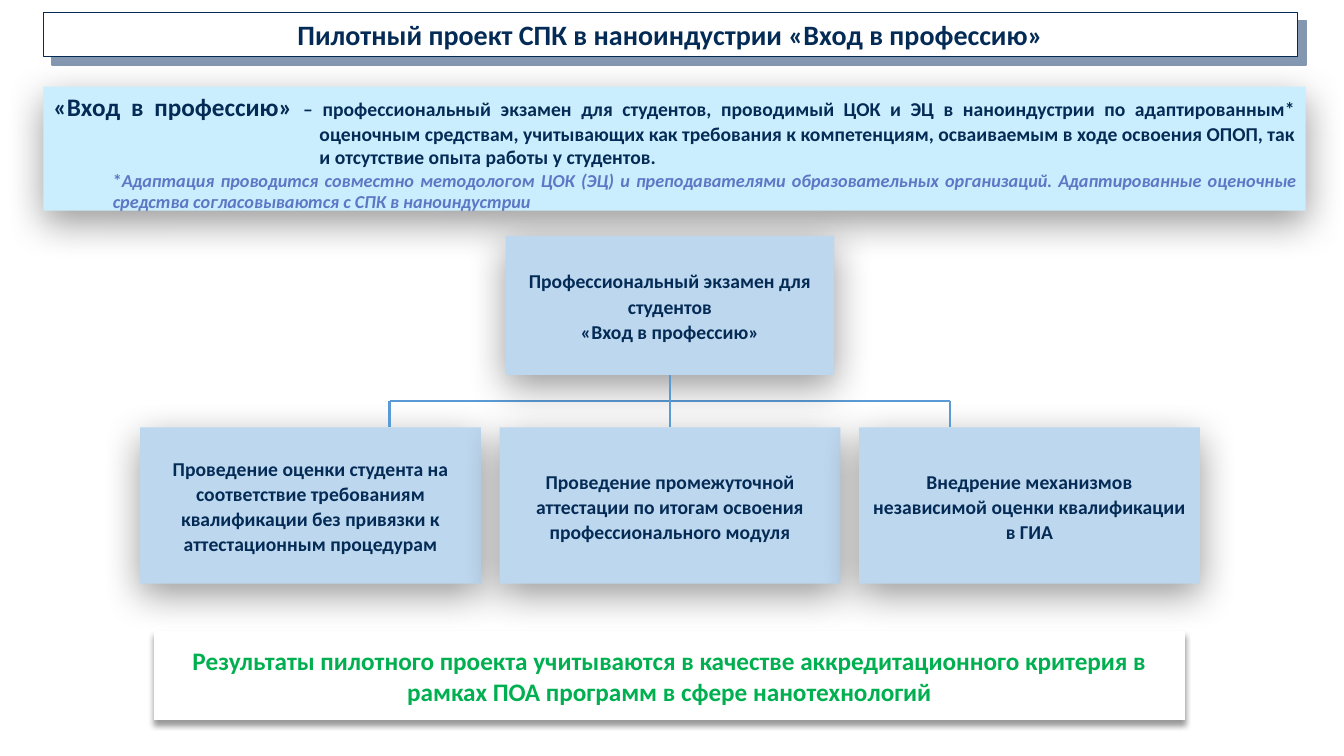
from collections import namedtuple

from lxml.etree import SubElement
from pptx import Presentation
from pptx.dml.color import RGBColor
from pptx.enum.shapes import MSO_CONNECTOR as Connector, MSO_SHAPE as Shape
from pptx.enum.text import MSO_ANCHOR as Anchor, PP_ALIGN as Align
from pptx.oxml.ns import qn
from pptx.util import Inches, Pt

CELL = Inches(0.1)  # side of one square of the layout grid
FONT = "Calibri"
COLORS = {
    "navy": "042B55", "slate": "8497B0", "white": "FFFFFF", "sky": "CBEEFE",
    "node": "BDD7EE", "link": "5B9BD5", "note": "5D77C5", "green": "00B050",
    "shadow": "000000",
}
Box = namedtuple("Box", "left top width height")
Glow = namedtuple("Glow", "blur distance")
DEEP, SHALLOW = Glow(28, 8), Glow(4, 3)


def rgb(name):
    return RGBColor.from_string(COLORS[name])


def cells(count):
    return round(count * CELL)


def add_shadow(shape, glow):
    """Cast a soft black shadow straight down."""
    effects = shape._element.spPr.find(qn("a:effectLst"))
    outer = SubElement(effects, qn("a:outerShdw"), blurRad=str(Pt(glow.blur)),
                       dist=str(Pt(glow.distance)), dir="5400000",
                       algn="ctr", rotWithShape="0")
    color = SubElement(outer, qn("a:srgbClr"), val=COLORS["shadow"])
    SubElement(color, qn("a:alpha"), val="40000")


def add_panel(slide, box, fill, line=None, line_width=1, glow=None, anchor=Anchor.MIDDLE):
    panel = slide.shapes.add_shape(Shape.RECTANGLE, *map(cells, box))
    panel.shadow.inherit = False
    panel.fill.solid()
    panel.fill.fore_color.rgb = rgb(fill)
    if line:
        panel.line.color.rgb = rgb(line)
        panel.line.width = Pt(line_width)
    else:
        panel.line.fill.background()
    if glow:
        add_shadow(panel, glow)
    panel.text_frame.word_wrap = True
    panel.text_frame.vertical_anchor = anchor
    return panel


def add_paragraph(panel, runs, align=Align.CENTER, margin=0, indent=0, spacing=None):
    """Write runs of (text, size, color, italic) as the panel's next paragraph."""
    frame = panel.text_frame
    paragraph = frame.paragraphs[0] if not frame.text else frame.add_paragraph()
    paragraph.alignment = align
    if spacing:
        paragraph.line_spacing = spacing
    if margin:
        properties = paragraph._p.get_or_add_pPr()
        properties.set("marL", str(cells(margin)))
        properties.set("indent", str(cells(indent)))
    for text, size, color, italic in runs:
        run = paragraph.add_run()
        run.text = text
        run.font.name = FONT
        run.font.size = Pt(size)
        run.font.bold = True
        run.font.italic = italic
        run.font.color.rgb = rgb(color)


def add_link(slide, start, end):
    link = slide.shapes.add_connector(Connector.STRAIGHT, *map(cells, start + end))
    link.line.color.rgb = rgb("link")
    link.line.width = Pt(1.75)
    SubElement(link._element.spPr, qn("a:effectLst"))
    return link


def add_title(slide, box, text):
    offset = 0.85
    backing = box._replace(left=box.left + offset, top=box.top + offset)
    add_panel(slide, backing, "slate", line="slate")
    front = add_panel(slide, box, "white", line="navy", line_width=0.75, anchor=Anchor.TOP)
    add_paragraph(front, [(text, 20, "navy", False)])


def add_definition(slide, box, term, meaning, note):
    panel = add_panel(slide, box, "sky", glow=DEEP, anchor=Anchor.TOP)
    add_paragraph(panel, [(term, 18, "navy", False), (meaning, 14, "navy", False)],
                  Align.JUSTIFY, margin=26.4, indent=-26.4)
    add_paragraph(panel, [("*", 13, "note", False), (note, 13, "note", True)],
                  Align.JUSTIFY, margin=5.9)


def add_node(slide, box, lines):
    node = add_panel(slide, box, "node", glow=DEEP)
    for line in lines:
        add_paragraph(node, [(line, 14, "navy", False)], spacing=1.07)
    return node


def add_tree(slide, box, root_lines, leaf_texts):
    """Draw a root above a row of leaves, joined by a bracket of lines."""
    root_width, root_height = 32.6, 13.8
    leaf_width, leaf_height = 33.8, 15.5
    reach = 27.8  # from the middle to either end of the bracket
    center = box.left + box.width / 2
    leaf_top = box.top + box.height - leaf_height
    bracket_top = (box.top + root_height + leaf_top) / 2
    step = (box.width - leaf_width) / (len(leaf_texts) - 1)
    ends = (center - reach, center + reach)

    add_link(slide, (ends[0], bracket_top), (ends[1], bracket_top))
    root_box = Box(center - root_width / 2, box.top, root_width, root_height)
    root = add_node(slide, root_box, root_lines)
    leaves = [
        add_node(slide, Box(box.left + index * step, leaf_top, leaf_width, leaf_height), [text])
        for index, text in enumerate(leaf_texts)
    ]
    for end in ends:
        add_link(slide, (end, bracket_top), (end, leaf_top))
    trunk = add_link(slide, (center, box.top + root_height), (center, leaf_top))
    trunk.begin_connect(root, 2)
    trunk.end_connect(leaves[len(leaves) // 2], 0)


def add_conclusion(slide, box, text):
    panel = add_panel(slide, box, "white", line="white", glow=SHALLOW)
    add_paragraph(panel, [(text, 18, "green", False)])


def main():
    presentation = Presentation()
    presentation.slide_width = Inches(13.33)
    presentation.slide_height = Inches(7.5)
    slide = presentation.slides.add_slide(presentation.slide_layouts[6])

    add_title(slide, Box(4.3, 1.2, 124.4, 4.4),
              "Пилотный проект СПК в наноиндустрии «Вход в профессию»")
    add_definition(
        slide, Box(4.3, 8.6, 125.2, 12.3),
        "«Вход в профессию» ",
        "– профессиональный экзамен для студентов, проводимый ЦОК и ЭЦ в наноиндустрии "
        "по адаптированным* оценочным средствам, учитывающих как требования к компетенциям, "
        "осваиваемым в ходе освоения ОПОП, так и отсутствие опыта работы у студентов.",
        "Адаптация проводится совместно методологом ЦОК (ЭЦ) и преподавателями "
        "образовательных организаций. Адаптированные оценочные средства согласовываются "
        "с СПК в наноиндустрии")
    add_tree(
        slide, Box(13.9, 23.4, 105.1, 34.5),
        ["Профессиональный экзамен для студентов", "«Вход в профессию»"],
        ["Проведение оценки студента на соответствие требованиям квалификации "
         "без привязки к аттестационным процедурам",
         "Проведение промежуточной аттестации по итогам освоения профессионального модуля",
         "Внедрение механизмов независимой оценки квалификации в ГИА"])
    add_conclusion(
        slide, Box(15.3, 62.7, 102.2, 8.7),
        "Результаты пилотного проекта учитываются в качестве аккредитационного критерия "
        "в рамках ПОА программ в сфере нанотехнологий")

    presentation.save("out.pptx")


if __name__ == "__main__":
    main()
